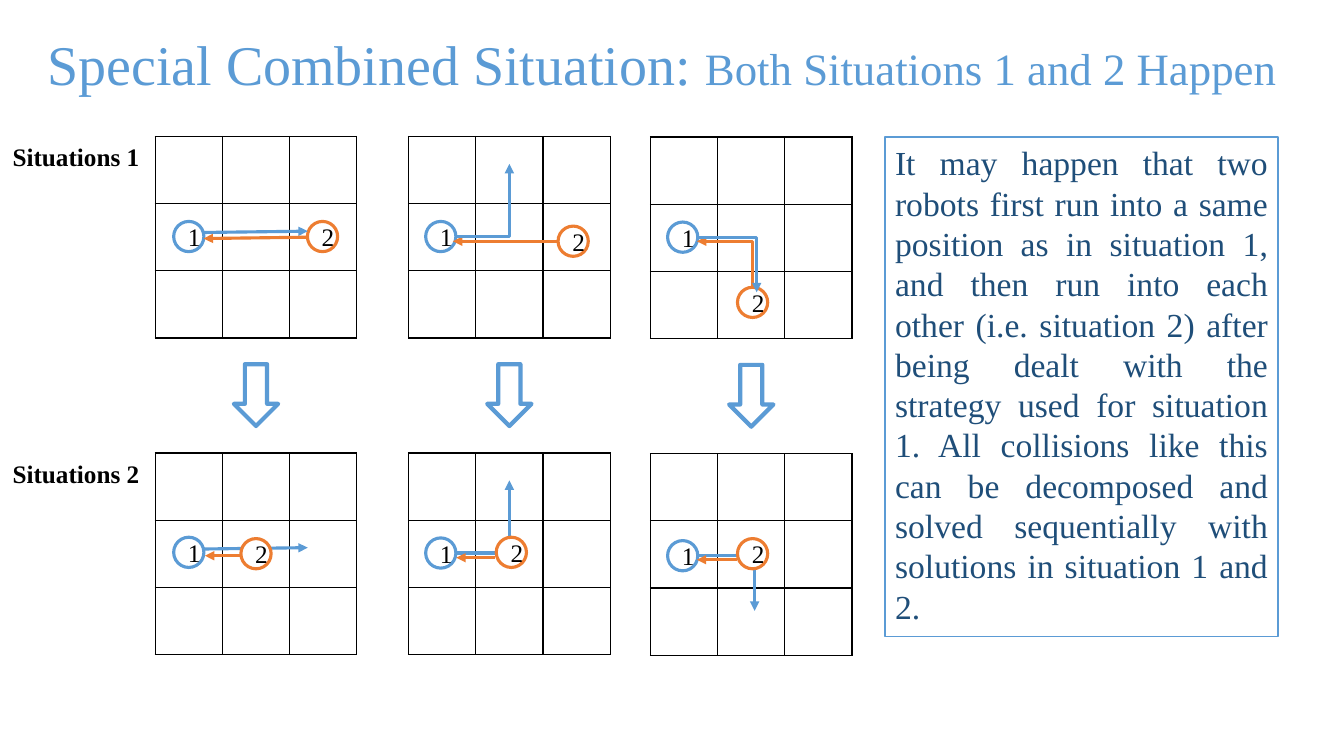
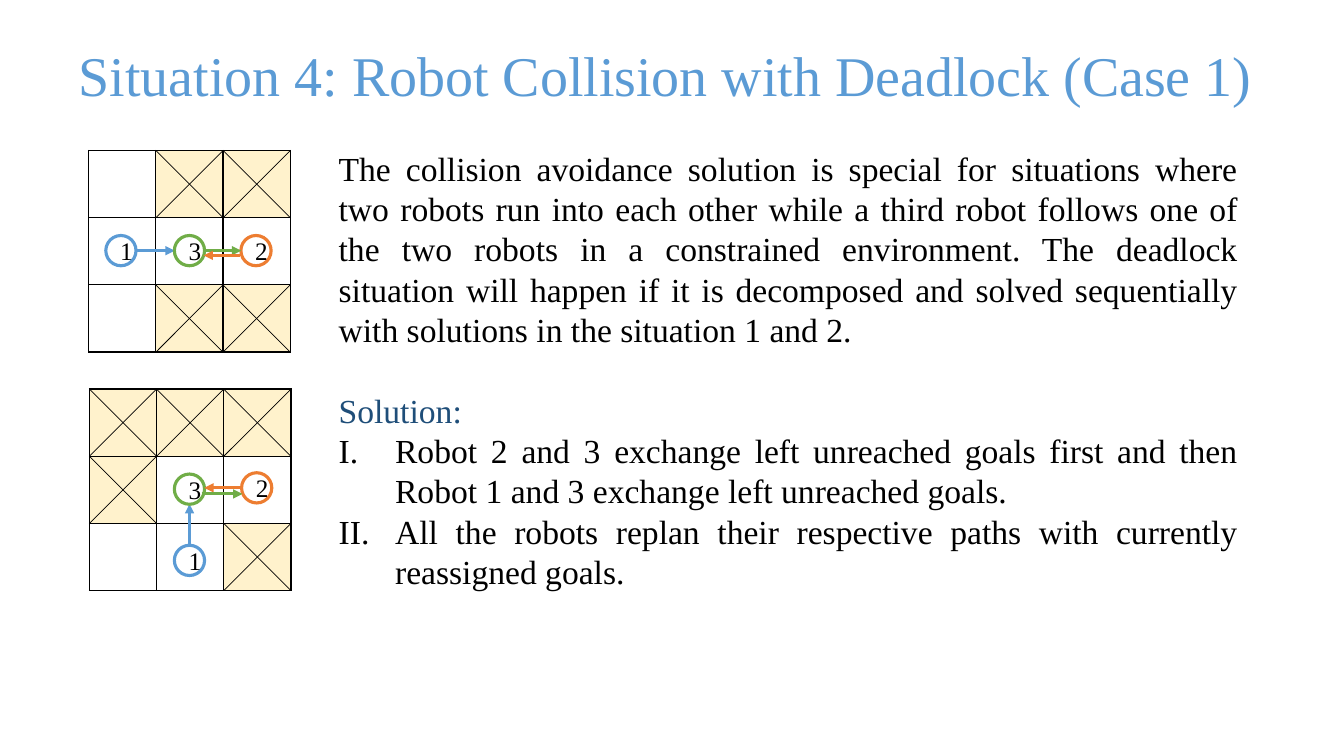
from dataclasses import dataclass
from itertools import product

from pptx import Presentation
from pptx.dml.color import RGBColor as Rgb
from pptx.enum.shapes import MSO_CONNECTOR as Link, MSO_SHAPE as Preset
from pptx.enum.text import MSO_ANCHOR as Anchor, MSO_AUTO_SIZE as Fit, PP_ALIGN as Align
from pptx.oxml.ns import qn
from pptx.oxml.xmlchemy import OxmlElement as make_element
from pptx.util import Inches, Pt


@dataclass(frozen=True)
class Theme:
    font: str = "Times New Roman"
    blue: str = "5B9BD5"
    orange: str = "ED7D31"
    green: str = "70AD47"
    navy: str = "1F4E79"
    black: str = "000000"
    white: str = "FFFFFF"
    cream: str = "FFF2CC"
    title: int = 40
    subtitle: int = 32
    body: int = 24
    label: int = 18
    leading: float = 1.2
    stroke: float = 2.25


@dataclass
class Robot:
    number: int
    column: float
    row: float


@dataclass
class Arrow:
    color: str
    start: tuple
    end: tuple
    bent: bool = False
    tip: str = "tailEnd"


@dataclass
class Board:
    page: int
    left: float
    top: float
    items: list
    blocked: tuple = ()


THEME = Theme()
CELL = Inches(2) / 3
ROBOT_SIZE = 0.45
ROBOT_COLORS = {1: THEME.blue, 2: THEME.orange, 3: THEME.green}


def write_text(para, text, *, size, color=THEME.black, align=Align.JUSTIFY, bold=False):
    para.alignment = align
    para.line_spacing = para.line_spacing or Pt(size * THEME.leading)
    span = para.add_run()
    span.text = text
    span.font.name = THEME.font
    span.font.size = Pt(size)
    span.font.bold = bold
    span.font.color.rgb = Rgb.from_string(color)


def draw_line(page, start, end, *, color, width, bent=False, tip=None):
    points = [int(CELL * value) for value in (*start, *end)]
    line = page.shapes.add_connector(Link.ELBOW if bent else Link.STRAIGHT, *points)
    line.line.color.rgb = Rgb.from_string(color)
    line.line.width = Pt(width)
    properties = line._element.spPr
    if bent:
        properties.find(qn("a:prstGeom")).set("prst", "bentConnector2")
    if tip:
        arrowhead = make_element(f"a:{tip}")
        arrowhead.set("type", "triangle")
        properties.find(qn("a:ln")).append(arrowhead)
    properties.append(make_element("a:effectLst"))


deck = Presentation()
deck.slide_width = int(CELL * 20)
deck.slide_height = int(CELL * 11.25)

PAGES = [
    {
        "title": [("Special Combined Situation: ", THEME.title),
                  ("Both Situations 1 and 2 Happen", THEME.subtitle)],
        "title_area": (0.56, 0.36, 18.78, 1.16),
        "body_area": (13.17, 2.04, 5.85, 7.43),
        "framed": True,
        "body": [
            ("It may happen that two robots first run into a same position as in situation 1, "
             "and then run into each other (i.e. situation 2) after being dealt with the strategy "
             "used for situation 1. All collisions like this can be decomposed and solved "
             "sequentially with solutions in situation 1 and 2.", THEME.navy, "plain"),
        ],
    },
    {
        "title": [("Situation 4: Robot Collision with Deadlock (Case 1)", THEME.title)],
        "title_area": (1.02, 0.53, 17.96, 1.16),
        "body_area": (4.89, 2.12, 13.68, 6.81),
        "framed": False,
        "body": [
            ("The collision avoidance solution is special for situations where two robots run "
             "into each other while a third robot follows one of the two robots in a constrained "
             "environment. The deadlock situation will happen if it is decomposed and solved "
             "sequentially with solutions in the situation 1 and 2.", THEME.black, "plain"),
            ("Solution:", THEME.navy, "heading"),
            ("Robot 2 and 3 exchange left unreached goals first and then Robot 1 and 3 exchange "
             "left unreached goals.", THEME.black, "numbered"),
            ("All the robots replan their respective paths with currently reassigned goals.",
             THEME.black, "numbered"),
        ],
    },
]

COLUMNS = [(2.31, 0), (6.08, 0), (9.68, 0.01)]
FIRST_ROW, SECOND_ROW = 2.03, 6.74

FIRST_MOVES = [
    [Robot(1, 0.5, 1.49), Robot(2, 2.49, 1.49),
     Arrow(THEME.blue, (0.72, 1.43), (2.27, 1.41)),
     Arrow(THEME.orange, (2.27, 1.5), (0.72, 1.52))],
    [Robot(1, 0.48, 1.49), Robot(2, 2.45, 1.56),
     Arrow(THEME.orange, (2.22, 1.56), (0.66, 1.56)),
     Arrow(THEME.blue, (0.71, 1.49), (1.5, 0.41), bent=True)],
    [Robot(1, 0.48, 1.49), Robot(2, 1.52, 2.46),
     Arrow(THEME.orange, (0.69, 1.55), (1.52, 2.24), bent=True, tip="headEnd"),
     Arrow(THEME.blue, (0.71, 1.49), (1.58, 2.31), bent=True)],
]
SECOND_MOVES = [
    [Arrow(THEME.blue, (0.72, 1.43), (2.27, 1.41)),
     Robot(1, 0.5, 1.48), Robot(2, 1.5, 1.5),
     Arrow(THEME.orange, (1.26, 1.53), (0.74, 1.53))],
    [Arrow(THEME.blue, (0.71, 1.49), (1.5, 0.41), bent=True),
     Robot(1, 0.48, 1.49), Robot(2, 1.53, 1.48),
     Arrow(THEME.orange, (1.29, 1.56), (0.71, 1.56))],
    [Arrow(THEME.blue, (0.66, 1.52), (1.55, 2.34), bent=True),
     Robot(1, 0.48, 1.52), Robot(2, 1.52, 1.49),
     Arrow(THEME.orange, (1.29, 1.58), (0.69, 1.58))],
]

boards = [
    Board(0, left, top + shift, items)
    for top, moves in ((FIRST_ROW, FIRST_MOVES), (SECOND_ROW, SECOND_MOVES))
    for (left, shift), items in zip(COLUMNS, moves)
]
boards += [
    Board(1, 1.32, 2.24,
          [Robot(1, 0.48, 1.49), Robot(2, 2.49, 1.49),
           Arrow(THEME.blue, (0.71, 1.49), (1.28, 1.49)),
           Robot(3, 1.5, 1.49),
           Arrow(THEME.green, (1.73, 1.49), (2.27, 1.49)),
           Arrow(THEME.orange, (2.25, 1.56), (1.71, 1.56))],
          blocked=((0, 1), (0, 2), (2, 1), (2, 2))),
    Board(1, 1.33, 5.79,
          [Robot(1, 1.49, 2.55), Robot(2, 2.49, 1.47),
           Arrow(THEME.blue, (1.49, 2.33), (1.49, 1.71)),
           Robot(3, 1.49, 1.49),
           Arrow(THEME.orange, (2.27, 1.47), (1.71, 1.47)),
           Arrow(THEME.green, (1.67, 1.56), (2.28, 1.56))],
          blocked=((0, 0), (0, 1), (0, 2), (1, 0), (2, 2))),
]

for content in PAGES:
    page = deck.slides.add_slide(deck.slide_layouts[1])
    title, body = page.shapes.title, page.placeholders[1]
    for box, area in ((title, content["title_area"]), (body, content["body_area"])):
        box.left, box.top, box.width, box.height = [int(CELL * value) for value in area]
        box.text_frame.auto_size = Fit.NONE
        box.text_frame.vertical_anchor = Anchor.TOP

    title.text_frame.word_wrap = False
    for text, size in content["title"]:
        write_text(title.text_frame.paragraphs[0], text,
                   size=size, color=THEME.blue, align=Align.LEFT)

    if content["framed"]:
        body.fill.solid()
        body.fill.fore_color.rgb = Rgb.from_string(THEME.white)
        body.line.color.rgb = Rgb.from_string(THEME.blue)
        body.line.width = Pt(1)
    for index, (text, color, kind) in enumerate(content["body"]):
        frame = body.text_frame
        para = frame.add_paragraph() if index else frame.paragraphs[0]
        write_text(para, text, size=THEME.body, color=color)
        para.space_before = Pt(THEME.body * THEME.leading if kind == "heading" else 0)
        numbered = kind == "numbered"
        indent = Inches(0.56) if numbered else 0
        properties = para._p.get_or_add_pPr()
        properties.set("marL", str(indent))
        properties.set("indent", str(-indent))
        bullet = make_element("a:buAutoNum" if numbered else "a:buNone")
        if numbered:
            bullet.set("type", "romanUcPeriod")
        properties.append(bullet)

for board in boards:
    page = deck.slides[board.page]
    side = int(CELL * 3)
    grid = page.shapes.add_table(
        3, 3, int(CELL * board.left), int(CELL * board.top), side, side).table
    grid.first_row = grid.horz_banding = False
    for row, column in product(range(3), repeat=2):
        cell = grid.cell(row, column)
        blocked = (row, column) in board.blocked
        properties = cell._tc.get_or_add_tcPr()
        for edge in "LRTB":
            border = make_element(f"a:ln{edge}")
            border.set("w", str(Pt(1)))
            paint = make_element("a:solidFill")
            shade = make_element("a:srgbClr")
            shade.set("val", THEME.black)
            paint.append(shade)
            border.append(paint)
            properties.append(border)
        cell.fill.solid()
        cell.fill.fore_color.rgb = Rgb.from_string(THEME.cream if blocked else THEME.white)
        if blocked:
            left, top = board.left + column, board.top + row
            for first, last in ((0, 1), (1, 0)):
                draw_line(page, (left + first, top), (left + last, top + 1),
                          color=THEME.black, width=0.5)

    for item in board.items:
        if isinstance(item, Arrow):
            start, end = [(board.left + x, board.top + y) for x, y in (item.start, item.end)]
            draw_line(page, start, end, color=item.color, width=THEME.stroke,
                      bent=item.bent, tip=item.tip)
            continue
        robot = page.shapes.add_shape(
            Preset.FLOWCHART_CONNECTOR,
            int(CELL * (board.left + item.column - ROBOT_SIZE / 2)),
            int(CELL * (board.top + item.row - ROBOT_SIZE / 2)),
            int(CELL * ROBOT_SIZE), int(CELL * ROBOT_SIZE))
        robot.shadow.inherit = False
        robot.fill.solid()
        robot.fill.fore_color.rgb = Rgb.from_string(THEME.white)
        robot.line.color.rgb = Rgb.from_string(ROBOT_COLORS[item.number])
        robot.line.width = Pt(THEME.stroke)
        robot.text_frame.vertical_anchor = Anchor.MIDDLE
        write_text(robot.text_frame.paragraphs[0], str(item.number), size=THEME.label)

page = deck.slides[0]
for left, shift in COLUMNS:
    step = page.shapes.add_shape(
        Preset.DOWN_ARROW, int(CELL * (left + 1.5 - 0.33)), int(CELL * (5.42 + shift)),
        int(CELL * 0.66), int(CELL * 0.92))
    step.shadow.inherit = False
    step.fill.solid()
    step.fill.fore_color.rgb = Rgb.from_string(THEME.white)
    step.line.color.rgb = Rgb.from_string(THEME.blue)
    step.line.width = Pt(3)

for number, top in enumerate((FIRST_ROW, SECOND_ROW), 1):
    label = page.shapes.add_textbox(0, int(CELL * top), int(CELL * 2.26), int(CELL * 0.6))
    label.text_frame.word_wrap = True
    write_text(label.text_frame.paragraphs[0], f"Situations {number}",
               size=THEME.label, align=Align.CENTER, bold=True)

deck.save("out.pptx")
